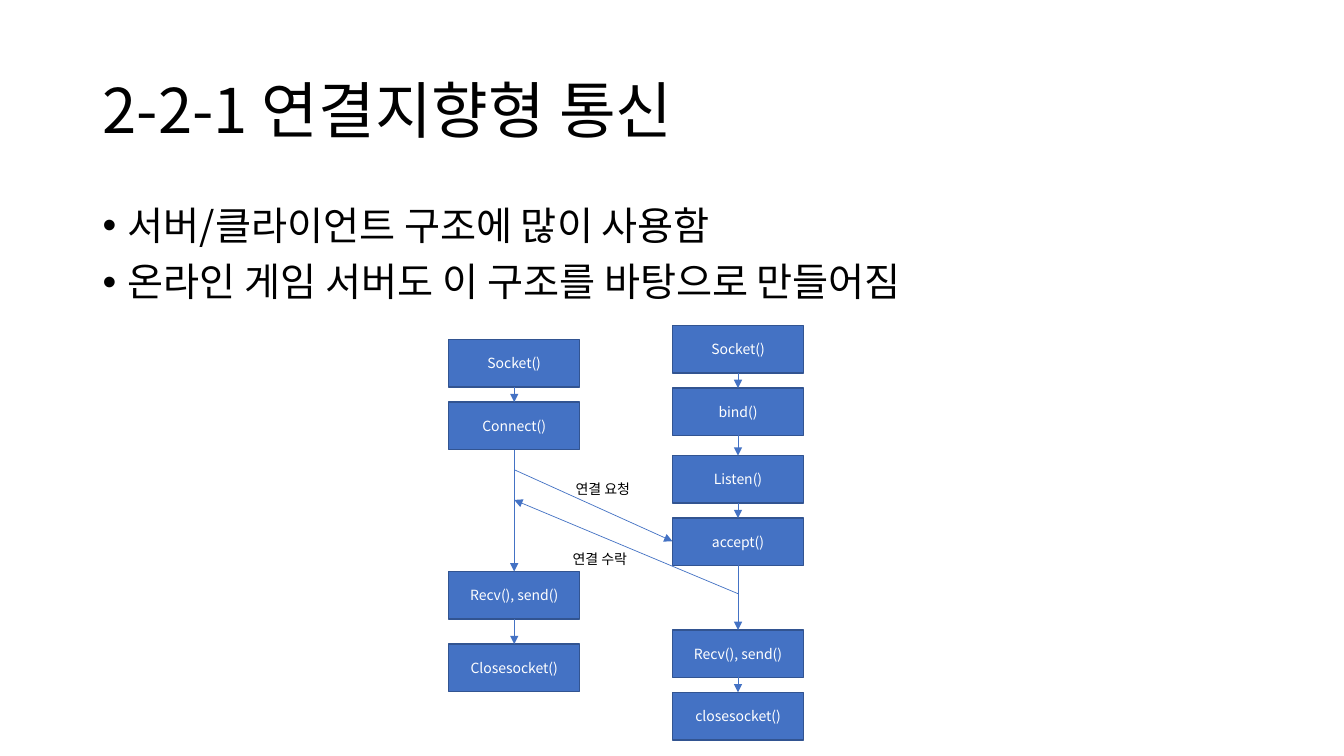
from dataclasses import dataclass
from itertools import pairwise

from lxml.etree import SubElement
from pptx import Presentation
from pptx.dml.color import RGBColor
from pptx.enum.shapes import MSO_CONNECTOR, MSO_SHAPE
from pptx.enum.text import MSO_ANCHOR, MSO_AUTO_SIZE, PP_ALIGN
from pptx.oxml.ns import qn
from pptx.util import Inches, Pt


@dataclass(frozen=True)
class Theme:
    """Font, colours and type sizes of the slide."""
    font: str = "Noto Sans CJK KR"
    ink: str = "000000"
    light: str = "FFFFFF"
    blue: str = "4472C4"
    edge: str = "325491"
    title: int = 44
    body: int = 28
    small: int = 10


class Deck:
    """Holds the theme and the current slide."""

    def __init__(self, slide, theme):
        """Keep the slide to draw on and its theme."""
        self.slide, self.theme = slide, theme

    def style(self, frame, size, color):
        """Format every run of a text frame."""
        for par in frame.paragraphs:
            for run in par.runs:
                run.font.size = Pt(size)
                run.font.name = self.theme.font
                run.font.color.rgb = RGBColor.from_string(color)
                props = run._r.get_or_add_rPr()
                SubElement(props, qn("a:ea"), typeface=self.theme.font)

    def text(self, words, left, top, width, height, size, wrap=True):
        """Add a text box and return its frame."""
        box = self.slide.shapes.add_textbox(
            Inches(left), Inches(top), Inches(width), Inches(height))
        frame = box.text_frame
        frame.text = words
        frame.word_wrap = wrap
        self.style(frame, size, self.theme.ink)
        return frame

    def title(self, words):
        """Add the slide title."""
        frame = self.text(words, 0.92, 0.4, 11.5, 1.45, self.theme.title)
        frame.vertical_anchor = MSO_ANCHOR.MIDDLE
        frame.paragraphs[0].line_spacing = 0.9

    def bullets(self, items):
        """Add the bullet list below the title."""
        frame = self.text("\n".join(items), 0.92, 2, 11.5, 4.76, self.theme.body)
        for par in frame.paragraphs:
            par.line_spacing = 0.9
            par.space_before = Pt(10)
            props = par._p.get_or_add_pPr()
            props.set("marL", str(Inches(0.25)))
            props.set("indent", str(Inches(-0.25)))
            SubElement(props, qn("a:buFont"), typeface="Arial")
            SubElement(props, qn("a:buChar"), char="•")

    def label(self, words, left, top):
        """Add a small caption beside an arrow."""
        frame = self.text(words, left, top, 0.81, 0.27, self.theme.small, False)
        frame.auto_size = MSO_AUTO_SIZE.SHAPE_TO_FIT_TEXT

    def box(self, words, left, top, width, height):
        """Add one call as a filled box."""
        shape = self.slide.shapes.add_shape(
            MSO_SHAPE.RECTANGLE, Inches(left), Inches(top),
            Inches(width), Inches(height))
        shape.shadow.inherit = False
        shape.fill.solid()
        shape.fill.fore_color.rgb = RGBColor.from_string(self.theme.blue)
        shape.line.color.rgb = RGBColor.from_string(self.theme.edge)
        shape.line.width = Pt(1)
        frame = shape.text_frame
        frame.text = words
        frame.word_wrap = True
        frame.vertical_anchor = MSO_ANCHOR.MIDDLE
        frame.paragraphs[0].alignment = PP_ALIGN.CENTER
        self.style(frame, self.theme.small, self.theme.light)
        return shape

    def arrow(self, start, end):
        """Add a thin arrow between two points and return it."""
        line = self.slide.shapes.add_connector(
            MSO_CONNECTOR.STRAIGHT, *map(Inches, start + end))
        line.line.color.rgb = RGBColor.from_string(self.theme.blue)
        line.line.width = Pt(0.5)
        SubElement(line.line._get_or_add_ln(), qn("a:tailEnd"), type="triangle")
        SubElement(line._element.spPr, qn("a:effectLst"))
        return line

    def flow(self, left, steps):
        """Stack the calls of one side and link each to the next."""
        wide, high = 1.3, 0.47
        mid = left + wide / 2
        boxes = [self.box(words, left, top, wide, high) for words, top in steps]
        tops = [top for _, top in steps]
        for (above, below), (last, top) in zip(pairwise(boxes), pairwise(tops)):
            line = self.arrow((mid, last + high), (mid, top))
            line.begin_connect(above, 2)
            line.end_connect(below, 0)


CLIENT = [("Socket()", 3.37), ("Connect()", 3.99),
          ("Recv(), send()", 5.67), ("Closesocket()", 6.39)]
SERVER = [("Socket()", 3.23), ("bind()", 3.85), ("Listen()", 4.52),
          ("accept()", 5.14), ("Recv(), send()", 6.25), ("closesocket()", 6.87)]

show = Presentation()
show.slide_width, show.slide_height = Inches(13.33), Inches(7.5)
deck = Deck(show.slides.add_slide(show.slide_layouts[6]), Theme())

deck.title("2-2-1 연결지향형 통신")
deck.bullets(["서버/클라이언트 구조에 많이 사용함",
              "온라인 게임 서버도 이 구조를 바탕으로 만들어짐"])
deck.flow(4.45, CLIENT)
deck.flow(6.67, SERVER)
deck.arrow((5.1, 4.66), (6.67, 5.37))
deck.arrow((7.32, 5.89), (5.1, 4.96))
deck.label("연결 요청", 5.61, 4.72)
deck.label("연결 수락", 5.58, 5.41)

show.save("out.pptx")
